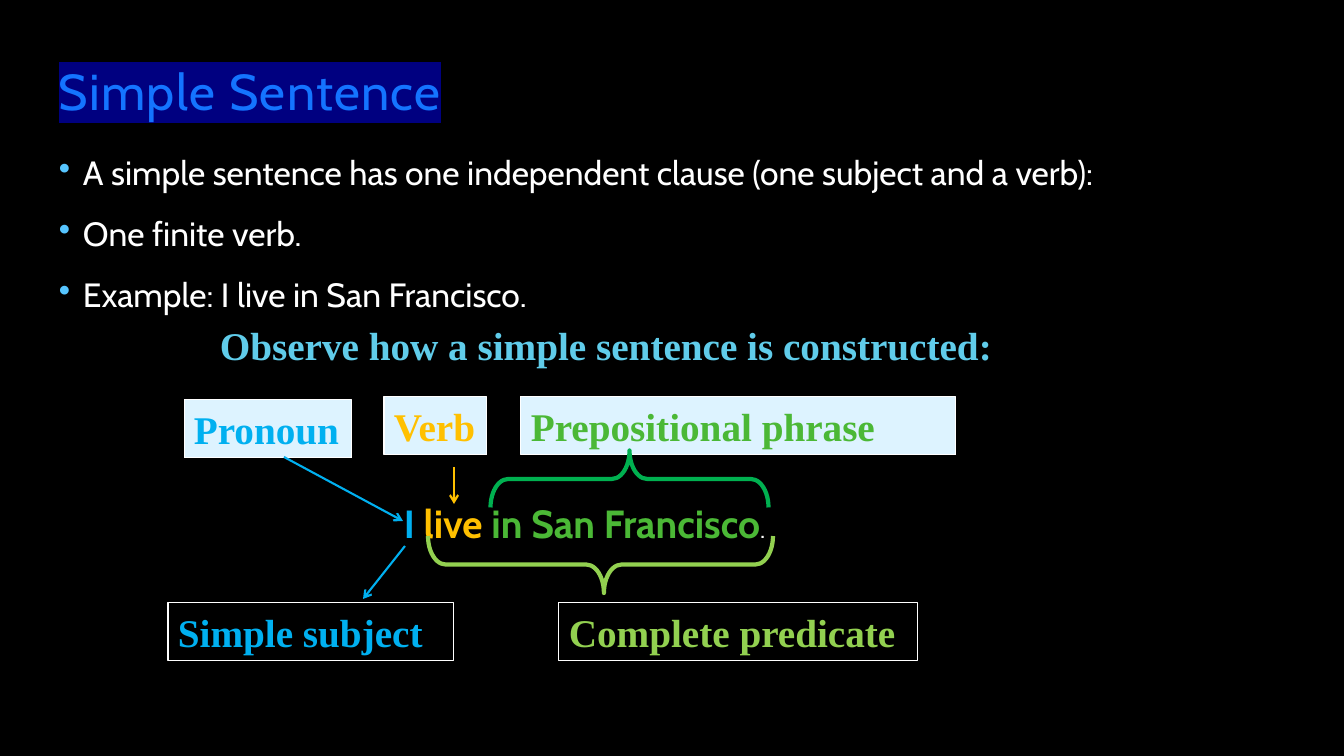
from lxml import etree
from pptx import Presentation
from pptx import util as u
from pptx.dml.color import RGBColor
from pptx.enum import shapes, text
from pptx.oxml.ns import qn

SCALE = 914400 / 100.8
SANS, SERIF = "Cabin", "Times New Roman"
WHITE, BLACK, PALE = "FFFFFF", "000000", "DDF3FF"
BLUE, GOLD, GREEN, LIME = "00B0F0", "FFC000", "4BB836", "92D050"


def px(*sizes):
    """Turn pixel lengths into EMU."""
    return [u.Emu(round(size * SCALE)) for size in sizes]


def paint(target, color):
    """Give a fill or line fill one solid colour."""
    target.solid()
    target.fore_color.rgb = RGBColor.from_string(color)


def assign(target, values):
    """Set each named value on the target."""
    for name, value in values.items():
        setattr(target, name, value)


def child(parent, tag, **attrs):
    """Append a drawing element to the parent."""
    return etree.SubElement(parent, qn(tag), attrs)


def write(para, words, color, size, font=SANS, bold=False):
    """Add one styled run to a paragraph."""
    run = para.add_run()
    run.text = words
    assign(run.font, {"size": u.Pt(size), "name": font, "bold": bold})
    paint(run.font.fill, color)
    return run


def frame(shape, **values):
    """Prepare the text frame of a shape and return it."""
    body = shape.text_frame
    assign(body, {"word_wrap": True, "vertical_anchor": text.MSO_ANCHOR.TOP, **values})
    body.paragraphs[0].alignment = text.PP_ALIGN.LEFT
    return body


def textbox(slide, box, **values):
    """Add a wrapped text box and return its frame."""
    return frame(slide.shapes.add_textbox(*px(*box)), **values)


def title(slide, box, words):
    """Add the spaced title with its highlight."""
    para = textbox(slide, box, vertical_anchor=text.MSO_ANCHOR.BOTTOM).paragraphs[0]
    para.line_spacing = 0.9
    props = write(para, words, "1474FF", 36).font._element
    props.set("spc", "100")
    mark = etree.Element(qn("a:highlight"))
    child(mark, "a:srgbClr", val="000080")
    props.find(qn("a:solidFill")).addnext(mark)


def bullets(slide, box, lines):
    """Add a list with coloured bullets."""
    body = textbox(slide, box)
    for index, line in enumerate(lines):
        para = body.add_paragraph() if index else body.paragraphs[0]
        assign(para, {"line_spacing": 0.9, "space_before": u.Pt(18)})
        props = para._p.get_or_add_pPr()
        indent = px(24)[0]
        props.set("marL", str(indent))
        props.set("indent", str(-indent))
        child(child(props, "a:buClr"), "a:srgbClr", val="56C5FF")
        child(props, "a:buChar", char="•")
        write(para, line, WHITE, 24)


def label(slide, box, words, color, fill, wrap=True):
    """Add a framed label for a part of the sentence."""
    rect = slide.shapes.add_shape(shapes.MSO_SHAPE.RECTANGLE, *px(*box))
    rect.shadow.inherit = False
    paint(rect.fill, fill)
    paint(rect.line.fill, WHITE)
    rect.line.width = u.Pt(0.75)
    body = frame(rect, word_wrap=wrap, auto_size=text.MSO_AUTO_SIZE.SHAPE_TO_FIT_TEXT)
    write(body.paragraphs[0], words, color, 28, SERIF, True)


def arrow(slide, ends, color):
    """Add a straight line with an open arrowhead at its end."""
    line = slide.shapes.add_connector(shapes.MSO_CONNECTOR.STRAIGHT, *px(*ends))
    paint(line.line.fill, color)
    line.line.width = u.Pt(1.5)
    child(line.line._get_or_add_ln(), "a:tailEnd", type="arrow")
    child(line._element.spPr, "a:effectLst")


def brace(slide, box, turn, point, color):
    """Add a turned brace that spans several words."""
    curve = slide.shapes.add_shape(shapes.MSO_SHAPE.LEFT_BRACE, *px(*box))
    curve.shadow.inherit = False
    curve.rotation = turn
    curve.adjustments[0], curve.adjustments[1] = 0.31, point
    curve.fill.background()
    paint(curve.line.fill, color)
    curve.line.width = u.Pt(3)


def main():
    """Build and save the slide."""
    deck = Presentation()
    width, height = px(1344, 756)
    assign(deck, {"slide_width": width, "slide_height": height})
    slide = deck.slides.add_slide(deck.slide_layouts[6])
    paint(slide.background.fill, BLACK)

    title(slide, (49, 25, 1126, 101), "Simple Sentence")
    bullets(slide, (49, 151, 1261, 580), [
        "A simple sentence has one independent clause (one subject and a verb):",
        "One finite verb.",
        "Example: I live in San Francisco.",
    ])

    para = textbox(slide, (394, 494, 487, 58)).paragraphs[0]
    for words, color in (("I ", BLUE), ("live ", GOLD), ("in San Francisco", GREEN)):
        write(para, words, color, 28, bold=True)
    write(para, ".", WHITE, 18)
    para = textbox(slide, (210, 316, 849, 58)).paragraphs[0]
    write(para, "Observe how a simple sentence is constructed:", "60CCEA", 28, SERIF, True)

    label(slide, (184, 400, 168, 58), "Pronoun", BLUE, PALE, False)
    label(slide, (384, 397, 103, 58), "Verb", GOLD, PALE, False)
    label(slide, (521, 397, 435, 58), "Prepositional phrase", GREEN, PALE)
    label(slide, (168, 603, 286, 58), "Simple subject", BLUE, BLACK)
    label(slide, (559, 603, 359, 58), "Complete predicate", LIME, BLACK)

    arrow(slide, (284, 457, 403, 521), BLUE)
    arrow(slide, (454, 467, 454, 504), GOLD)
    arrow(slide, (405, 546, 363, 599), BLUE)
    brace(slide, (601, 340, 57, 278), 90, 0.5, "00B050")
    brace(slide, (572, 392, 57, 345), 270, 0.51, LIME)

    deck.save("out.pptx")


if __name__ == "__main__":
    main()
